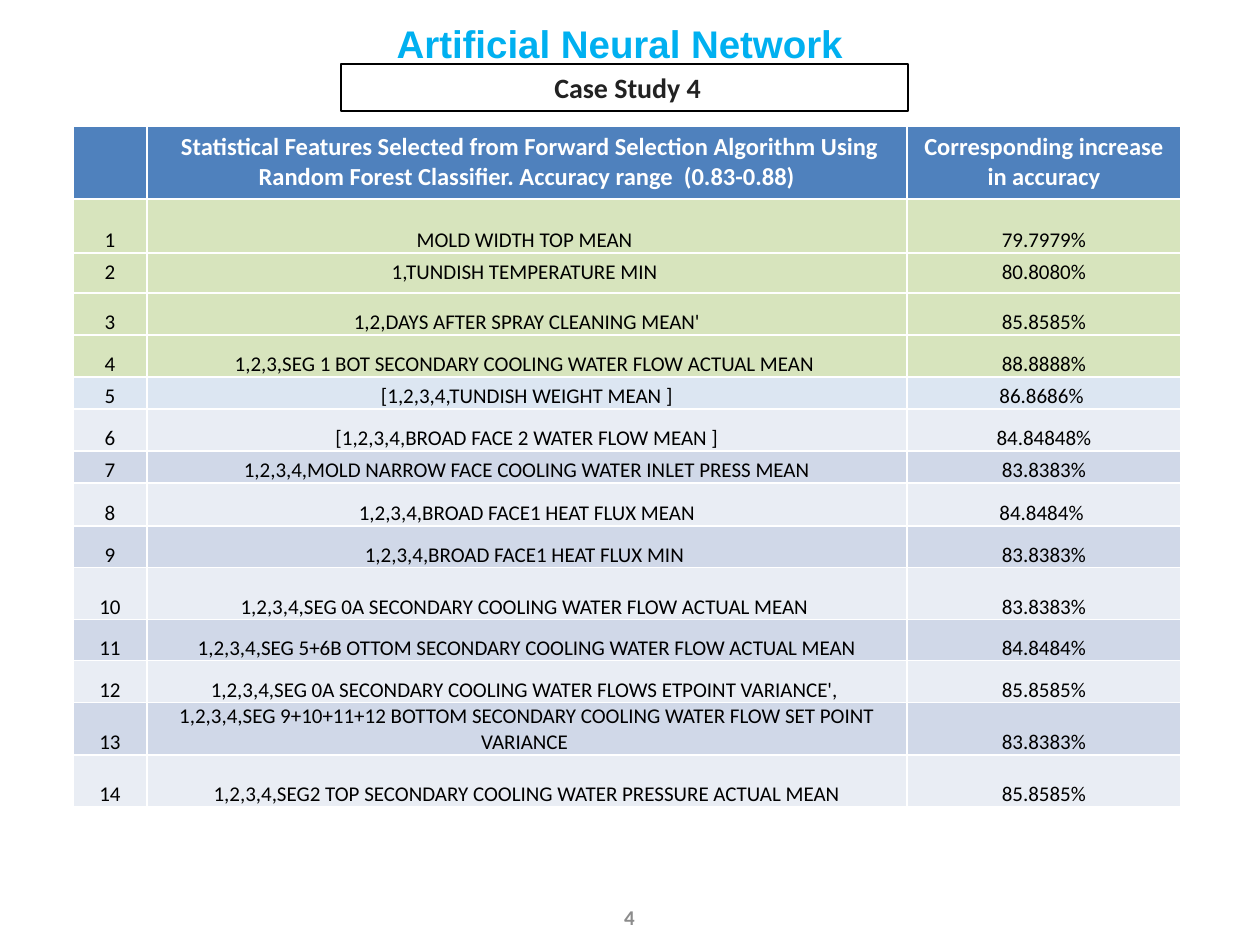
from pptx import Presentation
from pptx.dml.color import RGBColor
from pptx.enum import shapes, text
from pptx import util as u

PX = 914400 // 126
CYAN = RGBColor(0x00, 0xB0, 0xF0)
BLUE = RGBColor(0x4F, 0x81, 0xBD)
GREEN = RGBColor(0xD7, 0xE4, 0xBD)
PALE = RGBColor(0xDC, 0xE6, 0xF2)
LIGHT = RGBColor(0xE9, 0xED, 0xF4)
DARK = RGBColor(0xD0, 0xD8, 0xE8)
GREY = RGBColor(0x8C, 0x8C, 0x8C)
INK = RGBColor(0x22, 0x22, 0x22)
BLACK = RGBColor(0, 0, 0)
WHITE = RGBColor(255, 255, 255)
MID = text.PP_ALIGN.CENTER


def box(*px):
    return [n * PX for n in px]


def write(frame, words, size, color, bold=True, face="Calibri", align=MID):
    frame.text = words
    frame.word_wrap = True
    para = frame.paragraphs[0]
    para.alignment = align
    for run in para.runs:
        font = run.font
        font.name, font.size, font.bold = face, u.Pt(size), bold
        font.color.rgb = color


deck = Presentation()
deck.slide_width, deck.slide_height = box(1260, 945)
slide = deck.slides.add_slide(deck.slide_layouts[5])

# Title
title = slide.shapes.title
title.left, title.top, title.width, title.height = box(384, 10, 577, 34)
frame = title.text_frame
write(frame, "Artificial Neural Network", 22, CYAN, face="Arial",
      align=text.PP_ALIGN.LEFT)
frame.auto_size = text.MSO_AUTO_SIZE.NONE
frame.vertical_anchor = text.MSO_ANCHOR.TOP
frame.margin_top = 10 * PX

# Table of features and accuracy
rows = [
    ("", " Statistical Features Selected from Forward Selection Algorithm Using "
     "Random Forest Classifier. Accuracy range  (0.83-0.88)",
     "Corresponding increase in accuracy", 73),
    ("1", "MOLD WIDTH TOP MEAN ", "79.7979%", 54),
    ("2", "1,TUNDISH TEMPERATURE MIN ", "80.8080%", 40),
    ("3", "1,2,DAYS AFTER SPRAY CLEANING MEAN'", "85.8585%", 42),
    ("4", "1,2,3,SEG 1 BOT SECONDARY COOLING WATER FLOW ACTUAL MEAN ", "88.8888%", 42),
    ("5", "[1,2,3,4,TUNDISH WEIGHT MEAN ]", "86.8686% ", 32),
    ("6", "[1,2,3,4,BROAD FACE 2 WATER FLOW MEAN ]", "84.84848%", 42),
    ("7", "1,2,3,4,MOLD NARROW FACE COOLING WATER INLET PRESS MEAN", "83.8383%", 32),
    ("8", "1,2,3,4,BROAD FACE1 HEAT FLUX MEAN", "84.8484% ", 43),
    ("9", "1,2,3,4,BROAD FACE1 HEAT FLUX MIN ", "83.8383%", 42),
    ("10", "1,2,3,4,SEG 0A SECONDARY COOLING WATER FLOW ACTUAL MEAN ", "83.8383%", 52),
    ("11", "1,2,3,4,SEG 5+6B OTTOM SECONDARY COOLING WATER FLOW ACTUAL MEAN",
     "84.8484%", 41),
    ("12", "1,2,3,4,SEG 0A SECONDARY COOLING WATER FLOWS ETPOINT VARIANCE', ",
     "85.8585%", 42),
    ("13", "1,2,3,4,SEG 9+10+11+12 BOTTOM SECONDARY COOLING WATER FLOW SET POINT "
     "VARIANCE ", "83.8383%", 52),
    ("14", "1,2,3,4,SEG2 TOP SECONDARY COOLING WATER PRESSURE ACTUAL MEAN",
     "85.8585%", 52),
]
fills = [BLUE] + [GREEN] * 4 + [PALE] + [LIGHT, DARK] * 4 + [LIGHT]
table = slide.shapes.add_table(len(rows), 3, *box(73, 126, 1108, 681)).table
table.horz_banding = False
for col, wide in zip(table.columns, (74, 760, 274)):
    col.width = wide * PX
for i, (*words, high) in enumerate(rows):
    table.rows[i].height = high * PX
    for j, word in enumerate(words):
        cell = table.cell(i, j)
        cell.fill.solid()
        cell.fill.fore_color.rgb = fills[i]
        head = i == 0
        write(cell.text_frame, word, 14 if head else 12,
              WHITE if head else BLACK, head)
        if i not in (0, 2):
            cell.vertical_anchor = text.MSO_ANCHOR.BOTTOM
            cell.margin_left = cell.margin_right = cell.margin_top = PX
            cell.margin_bottom = 0

# Case label
label = slide.shapes.add_shape(shapes.MSO_SHAPE.RECTANGLE, *box(341, 64, 567, 47))
label.shadow.inherit = False
label.fill.background()
label.line.color.rgb = BLACK
label.line.width = u.Pt(0.75)
write(label.text_frame, "\u00a0Case Study 4", 16, INK)

# Page number
page = slide.shapes.add_textbox(*box(586, 892, 87, 50)).text_frame
write(page, "4", 12, GREY)
page.vertical_anchor = text.MSO_ANCHOR.MIDDLE

deck.save("out.pptx")
